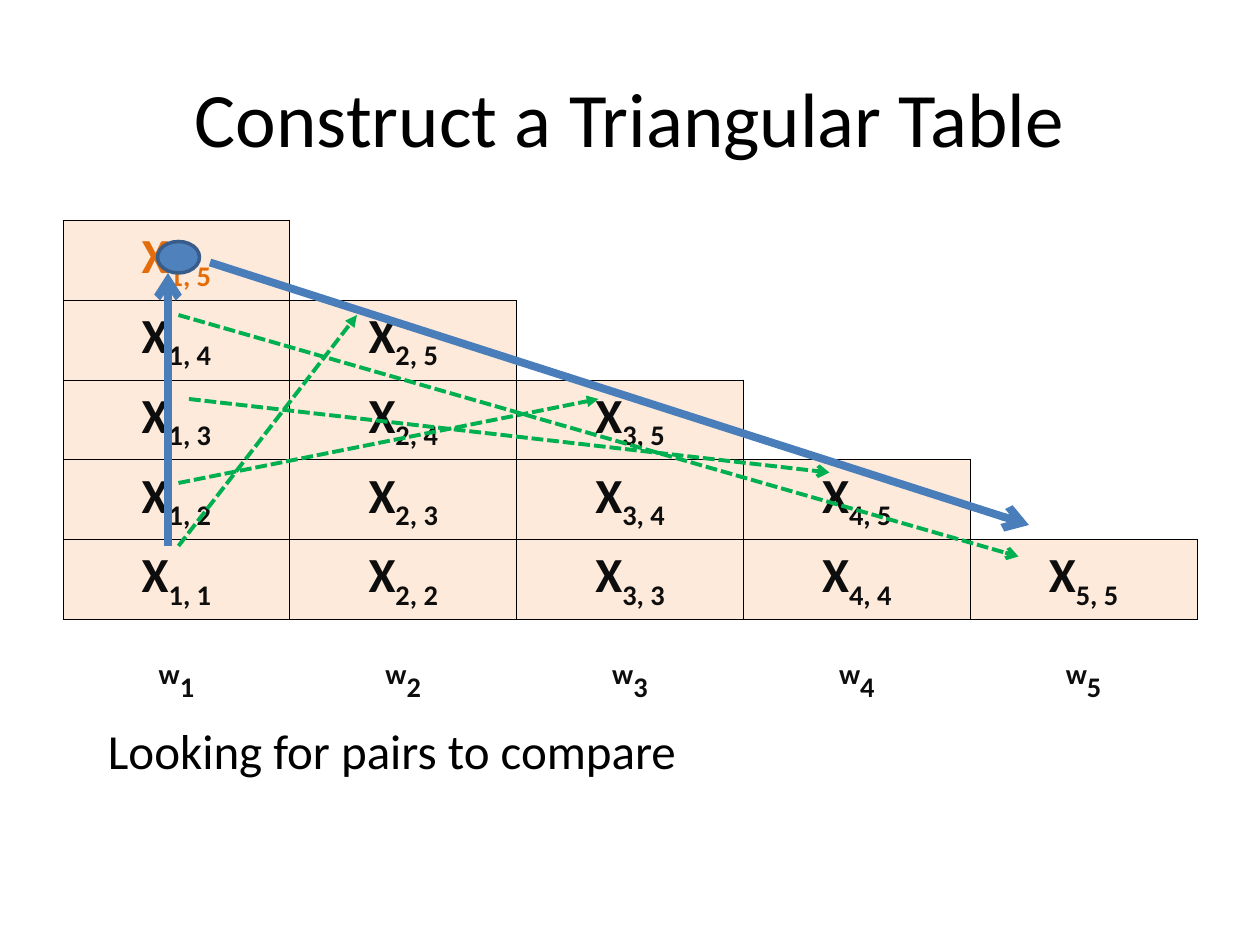
from typing import NamedTuple

from pptx import Presentation
from pptx.dml.color import RGBColor
from pptx.enum.dml import MSO_LINE
from pptx.enum.shapes import MSO_CONNECTOR, MSO_SHAPE
from pptx.enum.text import MSO_ANCHOR, MSO_AUTO_SIZE, PP_ALIGN
from pptx.oxml.ns import qn
from pptx.util import Inches, Length, Pt
from lxml import etree

STRAIGHT = MSO_CONNECTOR.STRAIGHT
OVAL = MSO_SHAPE.OVAL
DASHED = MSO_LINE.SQUARE_DOT
MIDDLE = MSO_ANCHOR.MIDDLE
CENTER = PP_ALIGN.CENTER
LEFT = PP_ALIGN.LEFT
FIT_SHAPE = MSO_AUTO_SIZE.SHAPE_TO_FIT_TEXT

BLACK = RGBColor(0x00, 0x00, 0x00)
NEAR_BLACK = RGBColor(0x0D, 0x0D, 0x0D)
ORANGE = RGBColor(0xE4, 0x6C, 0x0A)
PEACH = RGBColor(0xFD, 0xEA, 0xDA)
BLUE = RGBColor(0x4F, 0x81, 0xBD)
ARROW_BLUE = RGBColor(0x4A, 0x7E, 0xBB)
DARK_BLUE = RGBColor(0x38, 0x5D, 0x8A)
GREEN = RGBColor(0x00, 0xB0, 0x50)

FONT = "Calibri"
NO_STYLE = "{2D5ABB26-0587-4C30-8999-92F81FD0307C}"
WORDS = 5
COLUMN_WIDTH = 21.6
ROW_HEIGHT = 7.6
WORD_ROW_HEIGHT = 8.75


class Arrow(NamedTuple):
    start: tuple[float, float]
    end: tuple[float, float]
    color: RGBColor
    weight: float
    head: str
    dashed: bool


def grid(units: float) -> Length:
    """The slide is a grid of 120 columns by 90 rows."""
    return Inches(units / 12)


def add_text(paragraph, text: str, *, size: float = 28, color: RGBColor = BLACK,
             bold: bool = False, baseline: int = 0, align=CENTER) -> None:
    paragraph.alignment = align
    run = paragraph.add_run()
    run.text = text
    run.font.name = FONT
    run.font.size = Pt(size)
    run.font.bold = bold
    run.font.color.rgb = color
    if baseline:
        run.font._element.set("baseline", str(baseline * 1000))


def add_borders(cell) -> None:
    properties = cell._tc.get_or_add_tcPr()
    for side in ("a:lnL", "a:lnR", "a:lnT", "a:lnB"):
        line = etree.SubElement(properties, qn(side), w=str(Pt(0.45)))
        fill = etree.SubElement(line, qn("a:solidFill"))
        etree.SubElement(fill, qn("a:srgbClr"), val=str(BLACK))


def fill_cell(cell, symbol: str, index: str, color: RGBColor,
              baselines: tuple[int, int]) -> None:
    cell.vertical_anchor = MIDDLE
    paragraph = cell.text_frame.paragraphs[0]
    for text, baseline in zip((symbol, index), baselines):
        add_text(paragraph, text, color=color, bold=True, baseline=baseline)


def add_triangle(slide) -> None:
    frame = slide.shapes.add_table(
        WORDS + 1, WORDS, grid(6), grid(21), grid(WORDS * COLUMN_WIDTH),
        grid(WORDS * ROW_HEIGHT + WORD_ROW_HEIGHT))
    table = frame.table
    table.first_row = table.horz_banding = False
    table._tbl.tblPr.find(qn("a:tableStyleId")).text = NO_STYLE
    for column in table.columns:
        column.width = grid(COLUMN_WIDTH)
    for row in table.rows:
        row.height = grid(ROW_HEIGHT)
    table.rows[WORDS].height = grid(WORD_ROW_HEIGHT)

    # Each row down covers spans that are one word shorter
    for row in range(WORDS):
        for column in range(row + 1):
            cell = table.cell(row, column)
            color = NEAR_BLACK if row else ORANGE
            fill_cell(cell, "X", f"{column + 1}, {WORDS - row + column}", color, (0, -25))
            add_borders(cell)
            cell.fill.solid()
            cell.fill.fore_color.rgb = PEACH

    # Words under the triangle
    for column in range(WORDS):
        fill_cell(table.cell(WORDS, column), "w", str(column + 1), NEAR_BLACK, (-25, -50))


def add_arrow(slide, arrow: Arrow) -> None:
    connector = slide.shapes.add_connector(
        STRAIGHT, *map(grid, arrow.start), *map(grid, arrow.end))
    line = connector.line
    line.color.rgb = arrow.color
    line.width = Pt(arrow.weight)
    if arrow.dashed:
        line.dash_style = DASHED
    etree.SubElement(line._get_or_add_ln(), qn("a:tailEnd"), type=arrow.head)
    etree.SubElement(connector._element.spPr, qn("a:effectLst"))


def add_marker(slide) -> None:
    marker = slide.shapes.add_shape(OVAL, grid(15), grid(23), grid(4), grid(3))
    marker.shadow.inherit = False
    marker.fill.solid()
    marker.fill.fore_color.rgb = BLUE
    marker.line.color.rgb = DARK_BLUE
    marker.line.width = Pt(2)


def main() -> None:
    presentation = Presentation()
    presentation.slide_width, presentation.slide_height = grid(120), grid(90)
    slide = presentation.slides.add_slide(presentation.slide_layouts[5])

    # Title
    title = slide.shapes.title
    title.left, title.top = grid(6), grid(3.6)
    title.width, title.height = grid(108), grid(15)
    title.text_frame.vertical_anchor = MIDDLE
    add_text(title.text_frame.paragraphs[0], "Construct a Triangular Table", size=44)

    add_triangle(slide)

    # Caption
    caption = slide.shapes.add_textbox(grid(9.1), grid(68), grid(56.8), grid(6.8))
    caption.text_frame.word_wrap = False
    caption.text_frame.auto_size = FIT_SHAPE
    add_text(caption.text_frame.paragraphs[0], "Looking for pairs to compare", align=LEFT)

    # Directions of travel, then the pairs that are compared
    add_arrow(slide, Arrow((16, 52), (16, 26), ARROW_BLUE, 4.5, "arrow", False))
    add_marker(slide)
    for arrow in (
        Arrow((20, 25), (98, 50), ARROW_BLUE, 4.5, "arrow", False),
        Arrow((17, 52), (34, 30), GREEN, 2.25, "triangle", True),
        Arrow((17, 46), (57, 38), GREEN, 2.25, "triangle", True),
        Arrow((18, 38), (79, 45), GREEN, 2.25, "arrow", True),
        Arrow((17, 30), (97, 53), GREEN, 2.25, "arrow", True),
    ):
        add_arrow(slide, arrow)

    presentation.save("out.pptx")


if __name__ == "__main__":
    main()
